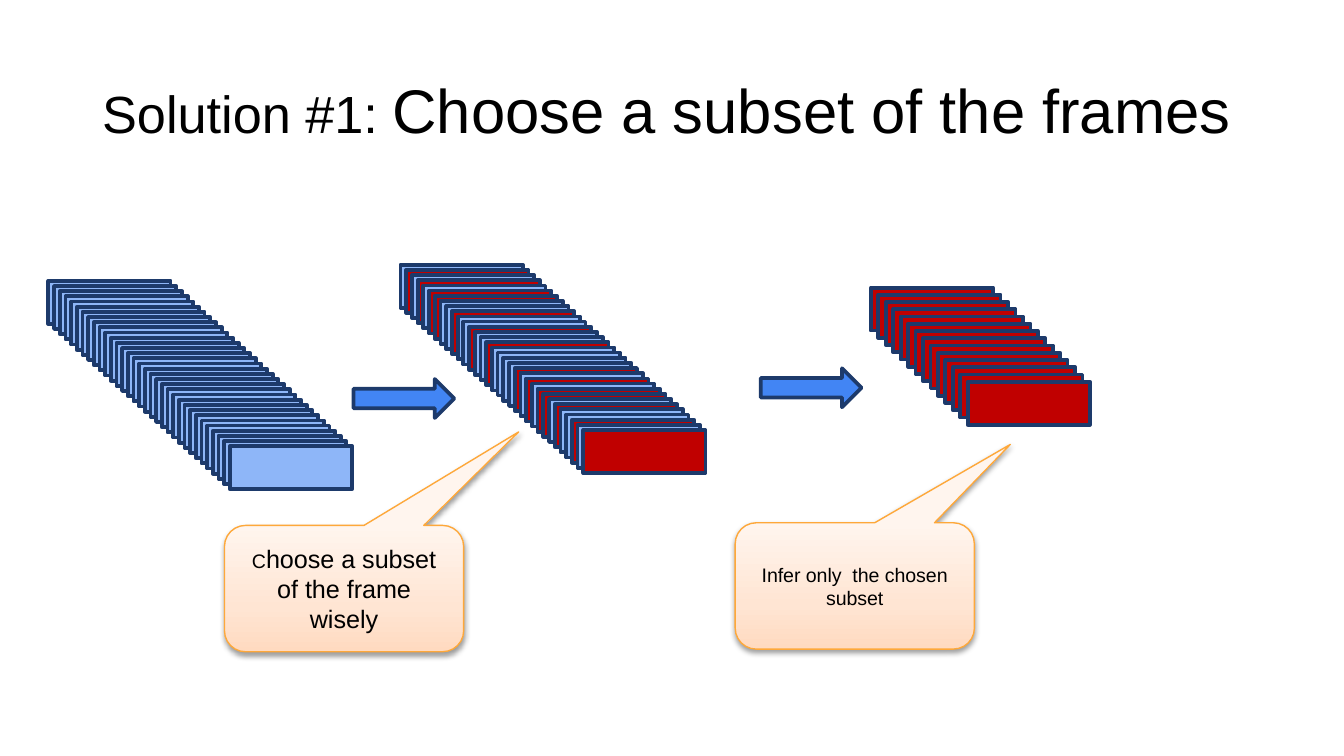
import copy

import pptx
import pptx.dml.color
import pptx.enum.shapes
import pptx.enum.text
import pptx.oxml
import pptx.oxml.ns
import pptx.util

Inches = pptx.util.Inches
Pt = pptx.util.Pt
RGBColor = pptx.dml.color.RGBColor
Shape = pptx.enum.shapes.MSO_SHAPE
Align = pptx.enum.text.PP_ALIGN

BLACK = RGBColor(0x00, 0x00, 0x00)
NAVY = RGBColor(0x1D, 0x3A, 0x6B)
LIGHT_BLUE = RGBColor(0x8E, 0xB6, 0xF8)
ARROW_BLUE = RGBColor(0x42, 0x85, 0xF4)
RED = RGBColor(0xC0, 0x00, 0x00)
ORANGE = RGBColor(0xFE, 0xA8, 0x3A)
PEACH_STOPS = [
    (0, RGBColor(0xFF, 0xDA, 0xC0)),
    (0.35, RGBColor(0xFF, 0xE5, 0xD3)),
    (1, RGBColor(0xFF, 0xF5, 0xEE)),
]
SHADOW_XML = (
    f'<a:effectLst {pptx.oxml.ns.nsdecls("a")}>'
    f'<a:outerShdw blurRad="{Pt(3.1)}" dist="{Pt(1.6)}" dir="5400000" rotWithShape="0">'
    '<a:srgbClr val="000000"><a:alpha val="38000"/></a:srgbClr>'
    '</a:outerShdw></a:effectLst>'
)


def write_text(shape, runs, align, line_spacing=1.0):
    frame = shape.text_frame
    frame.word_wrap = True
    frame.auto_size = pptx.enum.text.MSO_AUTO_SIZE.NONE
    frame.vertical_anchor = pptx.enum.text.MSO_ANCHOR.MIDDLE
    para = frame.paragraphs[0]
    para.alignment = align
    para.line_spacing = line_spacing
    for text, size in runs:
        span = para.add_run()
        span.text = text
        span.font.name = "Arial"
        span.font.size = Pt(size)
        span.font.color.rgb = BLACK


def add_outlined(shapes, kind, left, top, width, height, color):
    shape = shapes.add_shape(kind, Inches(left), Inches(top), Inches(width), Inches(height))
    shape.shadow.inherit = False
    shape.fill.solid()
    shape.fill.fore_color.rgb = color
    shape.line.color.rgb = NAVY
    shape.line.width = Pt(2)
    return shape


deck = pptx.Presentation()
deck.slide_width = Inches(10)
deck.slide_height = Inches(10 * 9 / 16)
slide = deck.slides.add_slide(deck.slide_layouts[5])

title = slide.shapes.title
title.left, title.top = Inches(0.69), Inches(0.3)
title.width, title.height = Inches(8.62), Inches(1.09)
title.text_frame.margin_left = title.text_frame.margin_right = Inches(0.07)
title.text_frame.margin_top = title.text_frame.margin_bottom = Inches(0.04)
write_text(title, [("Solution #1: ", 28), ("Choose a subset of the frames", 33)],
           align=Align.LEFT, line_spacing=0.9)

frame_colors = {"B": LIGHT_BLUE, "R": RED}
stacks = [
    ("B" * 33, (0.36, 2.09), (1.71, 3.32)),
    ("BRBRBRRBBRBBRBBRBBBBRBRBRRBRBBRBR", (2.98, 1.97), (4.34, 3.2)),
    ("R" * 14, (6.48, 2.14), (7.2, 2.84)),
]
for pattern, first, last in stacks:
    stack = slide.shapes.add_group_shape()
    step_x = (last[0] - first[0]) / (len(pattern) - 1)
    step_y = (last[1] - first[1]) / (len(pattern) - 1)
    for index, letter in enumerate(pattern):
        add_outlined(stack.shapes, Shape.RECTANGLE, first[0] + index * step_x,
                     first[1] + index * step_y, 0.91, 0.32, frame_colors[letter])

for left, top in [(2.63, 2.82), (5.66, 2.74)]:
    add_outlined(slide.shapes, Shape.RIGHT_ARROW, left, top, 0.75, 0.29, ARROW_BLUE)

callouts = [
    (1.67, 3.91, (0.73, -1.24), [("C", 10.5), ("hoose a subset of the frame wisely", 13.5)]),
    (5.47, 3.89, (0.65, -1.12), [("Infer only  the chosen subset", 10.5)]),
]
for left, top, tip, runs in callouts:
    callout = add_outlined(slide.shapes, Shape.ROUNDED_RECTANGULAR_CALLOUT,
                           left, top, 1.78, 0.94, ORANGE)
    callout.adjustments[0], callout.adjustments[1] = tip
    callout.line.color.rgb = ORANGE
    callout.line.width = Pt(0.75)
    callout.fill.gradient()
    callout.fill.gradient_angle = 90
    properties = callout._element.spPr
    stop_list = properties.find(".//" + pptx.oxml.ns.qn("a:gsLst"))
    stop_list.insert(1, copy.deepcopy(stop_list[0]))
    for stop, (position, color) in zip(callout.fill.gradient_stops, PEACH_STOPS):
        stop.position = position
        stop.color.rgb = color
    empty_effects = properties.find(pptx.oxml.ns.qn("a:effectLst"))
    properties.replace(empty_effects, pptx.oxml.parse_xml(SHADOW_XML))
    write_text(callout, runs, align=Align.CENTER)

deck.save("out.pptx")
